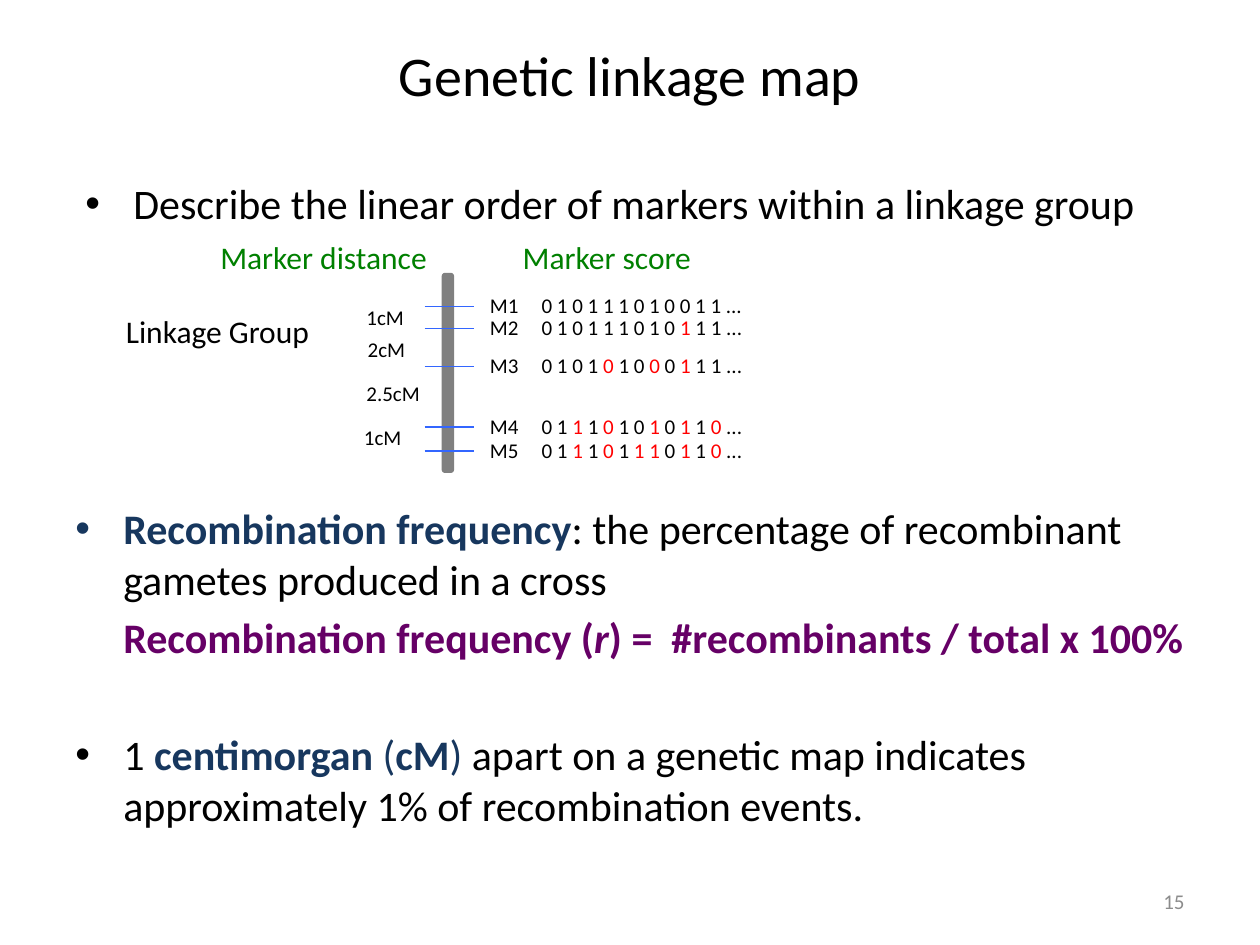
from itertools import groupby

from lxml import etree
from pptx import Presentation
from pptx.dml.color import RGBColor
from pptx.enum.shapes import MSO_CONNECTOR, MSO_SHAPE
from pptx.enum.text import MSO_ANCHOR, PP_ALIGN
from pptx.oxml.ns import qn
from pptx.util import Inches, Pt

THEME = {
    "font": "Calibri",
    "black": "000000", "navy": "17375E", "purple": "660066", "green": "008000",
    "red": "FF0000", "blue": "3366FF", "gray": "808080", "light gray": "8C8C8C",
    "title": 32, "body": 24, "label": 18, "small": 12,
}

# A run is (text, colour, style), where style may hold b (bold) and i (italic).
TITLE = [("Genetic linkage map", "black", "")]
DEFINITION = [("Describe the linear order of markers within a linkage group", "black", "")]
# Paragraphs: bulleted, space before in points, runs
RECOMBINATION = [
    (True, 0, [
        ("Recombination frequency", "navy", "b"),
        (": the percentage of recombinant gametes produced in a cross", "black", "")]),
    (False, 4.8, [
        ("Recombination frequency (", "purple", "b"),
        ("r", "purple", "bi"),
        (") =  #recombinants / total x 100%", "purple", "b")]),
    (True, 38, [
        ("1 ", "black", ""),
        ("centimorgan", "navy", "b"),
        (" (", "navy", ""),
        ("cM", "navy", "b"),
        (") ", "navy", ""),
        ("apart on a genetic map indicates approximately 1% of recombination events.",
         "black", "")]),
]
# Marker, height on the map, scores, positions of the highlighted scores
MARKERS = [
    ("M1", 2.43, "010111010011", ()),
    ("M2", 2.61, "010111010111", (9,)),
    ("M3", 2.91, "010101000111", (4, 7, 9)),
    ("M4", 3.39, "011101010110", (2, 4, 7, 9, 11)),
    ("M5", 3.58, "011101110110", (2, 4, 6, 7, 9, 11)),
]
# Text, left, top, width
DISTANCES = [
    ("1cM", 2.81, 2.37, 0.5),
    ("2cM", 2.82, 2.62, 0.5),
    ("2.5cM", 2.81, 2.97, 0.63),
    ("1cM", 2.79, 3.32, 0.5),
]
# Text, left, top, width, colour
LABELS = [
    ("Marker distance", 1.65, 1.84, 1.87, "green"),
    ("Marker score", 4.05, 1.84, 1.56, "green"),
    ("Linkage Group", 0.9, 2.43, 1.68, "black"),
]
PAGE_NUMBER = [("15", "light gray", "")]

CHROMOSOME = (3.52, 2.18, 0.07, 1.56)
TICK_LEFT, TICK_RIGHT = 3.37, 3.76
SCORE_LEFT, SCORE_WIDTH, SCORE_RISE, SCORE_TAB = 3.79, 2.28, 0.16, 0.41
HANGING = 0.38


def color(name):
    return RGBColor.from_string(THEME[name])


def add_runs(paragraph, runs, size):
    for text, shade, style in runs:
        run = paragraph.add_run()
        run.text = text
        run.font.name = THEME["font"]
        run.font.size = Pt(THEME[size])
        run.font.bold = "b" in style
        run.font.italic = "i" in style
        run.font.color.rgb = color(shade)


def add_frame(slide, box, wrap=True, anchor=MSO_ANCHOR.TOP):
    frame = slide.shapes.add_textbox(*map(Inches, box)).text_frame
    frame.word_wrap = wrap
    frame.vertical_anchor = anchor
    return frame


def add_line_of_text(slide, box, runs, size, align=PP_ALIGN.LEFT, **frame_options):
    paragraph = add_frame(slide, box, **frame_options).paragraphs[0]
    paragraph.alignment = align
    add_runs(paragraph, runs, size)
    return paragraph


def indent(paragraph, bulleted):
    """Align the text at the hanging indent, with or without a bullet."""
    properties = paragraph._p.get_or_add_pPr()
    properties.set("marL", str(Inches(HANGING)))
    properties.set("indent", str(Inches(-HANGING) if bulleted else 0))
    if bulleted:
        etree.SubElement(properties, qn("a:buFont")).set("typeface", "Arial")
        etree.SubElement(properties, qn("a:buChar")).set("char", "•")
    else:
        etree.SubElement(properties, qn("a:buNone"))


def add_body(slide, box, paragraphs):
    frame = add_frame(slide, box)
    for index, (bulleted, space, runs) in enumerate(paragraphs):
        paragraph = frame.add_paragraph() if index else frame.paragraphs[0]
        indent(paragraph, bulleted)
        paragraph.space_before = Pt(space)
        add_runs(paragraph, runs, "body")


def score_runs(marker, scores, highlighted):
    """Group neighbouring scores of one colour into runs."""
    runs = [(marker + "\t", "black", "")]
    for is_red, group in groupby(range(len(scores)), lambda i: i in highlighted):
        text = "".join(scores[i] + " " for i in group)
        runs.append((text, "red" if is_red else "black", ""))
    return runs + [("...", "black", "")]


def add_chromosome(slide):
    bar = slide.shapes.add_shape(MSO_SHAPE.ROUNDED_RECTANGLE, *map(Inches, CHROMOSOME))
    bar.shadow.inherit = False
    bar.fill.solid()
    bar.fill.fore_color.rgb = bar.line.color.rgb = color("gray")
    bar.line.width = Pt(2)


def add_marker(slide, marker, height, scores, highlighted):
    tick = slide.shapes.add_connector(
        MSO_CONNECTOR.STRAIGHT, Inches(TICK_LEFT), Inches(height),
        Inches(TICK_RIGHT), Inches(height))
    tick.line.color.rgb = color("blue")
    tick.line.width = Pt(0.75)
    etree.SubElement(tick._element.spPr, qn("a:effectLst"))

    box = (SCORE_LEFT, height - SCORE_RISE, SCORE_WIDTH, 0.3)
    paragraph = add_frame(slide, box).paragraphs[0]
    tabs = etree.SubElement(paragraph._p.get_or_add_pPr(), qn("a:tabLst"))
    etree.SubElement(tabs, qn("a:tab"), pos=str(Inches(SCORE_TAB)), algn="l")
    add_runs(paragraph, score_runs(marker, scores, highlighted), "small")


def main():
    deck = Presentation()
    deck.slide_width, deck.slide_height = Inches(10), Inches(7.5)
    slide = deck.slides.add_slide(deck.slide_layouts[6])

    add_line_of_text(slide, (0.5, 0.22, 9, 0.74), TITLE, "title",
                     PP_ALIGN.CENTER, anchor=MSO_ANCHOR.MIDDLE)
    add_body(slide, (0.58, 1.36, 8.71, 0.47), [(True, 0, DEFINITION)])
    add_chromosome(slide)
    for marker in MARKERS:
        add_marker(slide, *marker)
    for text, left, top, width in DISTANCES:
        add_line_of_text(slide, (left, top, width, 0.3), [(text, "black", "")],
                         "small", wrap=False)
    for text, left, top, width, shade in LABELS:
        add_line_of_text(slide, (left, top, width, 0.4), [(text, shade, "")],
                         "label", wrap=False)
    add_body(slide, (0.5, 3.94, 9.35, 2.9), RECOMBINATION)
    add_line_of_text(slide, (7.17, 6.95, 2.33, 0.4), PAGE_NUMBER, "small",
                     PP_ALIGN.RIGHT, anchor=MSO_ANCHOR.MIDDLE)
    deck.save("out.pptx")


if __name__ == "__main__":
    main()
